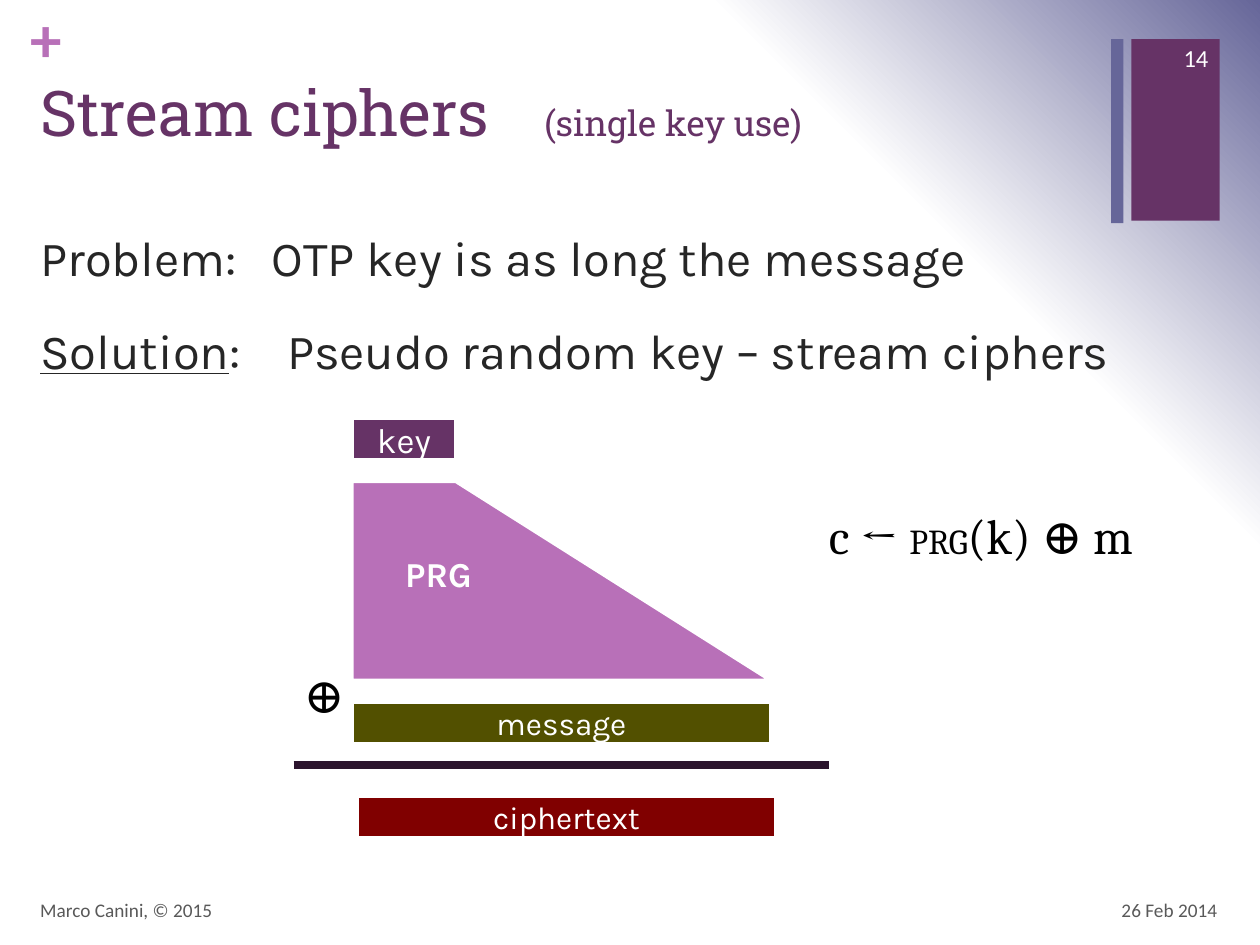
"""Build the stream ciphers slide."""
import dataclasses
import typing

import lxml.etree
import pptx
import pptx.dml.color
import pptx.enum.shapes
import pptx.enum.text
import pptx.oxml
import pptx.oxml.ns
import pptx.util

Cm = pptx.util.Cm
Pt = pptx.util.Pt
qn = pptx.oxml.ns.qn
ALIGN = pptx.enum.text.PP_ALIGN
ANCHOR = pptx.enum.text.MSO_ANCHOR
FIT = pptx.enum.text.MSO_AUTO_SIZE

HUES = {
    "plum": "663366", "slate": "666699", "orchid": "B870B8",
    "olive": "525000", "maroon": "800000", "night": "2B142D",
    "white": "FFFFFF", "black": "000000", "ink": "262626", "grey": "595959",
}
LEFT, WIDE, HIGH = 7.09, 8.46, 0.84


@dataclasses.dataclass
class Area:
    left: float
    top: float
    width: float
    height: float

    def cm(self) -> list:
        return [Cm(v) for v in dataclasses.astuple(self)]


@dataclasses.dataclass
class Style:
    face: str
    size: float
    hue: str
    bold: bool = False
    align: ALIGN = ALIGN.LEFT


@dataclasses.dataclass
class Block:
    area: Area
    fill: str
    text: str = ""
    size: float = 18


@dataclasses.dataclass
class Label:
    area: Area
    runs: list
    style: Style
    wrap: bool = False
    anchor: ANCHOR = ANCHOR.TOP
    inset: typing.Optional[float] = None


def color(hue: str) -> pptx.dml.color.RGBColor:
    return pptx.dml.color.RGBColor.from_string(HUES[hue])


def write(para, runs: list, style: Style) -> None:
    font = para.font
    font.name, font.bold = style.face, style.bold
    font.color.rgb = color(style.hue)
    para.alignment = style.align
    sizes = {size for _, size in runs}
    if len(sizes) == 1:
        font.size = Pt(runs[0][1] or style.size)
    for text, size in runs:
        run = para.add_run()
        run.text = text
        if len(sizes) > 1:
            run.font.size = Pt(size or style.size)


def paint(shape, fill: str, edge: bool) -> None:
    shape.shadow.inherit = False
    shape.fill.solid()
    shape.fill.fore_color.rgb = color(fill)
    if edge:
        shape.line.color.rgb = color("white")
        shape.line.width = Pt(2.25)
    else:
        shape.line.fill.background()


def draw_block(slide, block: Block) -> None:
    kind = pptx.enum.shapes.MSO_SHAPE.RECTANGLE
    shape = slide.shapes.add_shape(kind, *block.area.cm())
    paint(shape, block.fill, bool(block.text))
    if block.text:
        frame = shape.text_frame
        frame.vertical_anchor = ANCHOR.MIDDLE
        style = Style("Karla", block.size, "white", align=ALIGN.CENTER)
        write(frame.paragraphs[0], [(block.text, None)], style)


def draw_label(slide, label: Label) -> None:
    frame = slide.shapes.add_textbox(*label.area.cm()).text_frame
    frame.word_wrap = label.wrap
    frame.vertical_anchor = label.anchor
    if label.inset is not None:
        frame.margin_left = frame.margin_right = Cm(label.inset)
        frame.margin_top = frame.margin_bottom = Cm(label.inset)
    write(frame.paragraphs[0], label.runs, label.style)


def draw_prg(slide) -> None:
    top, base = Cm(9.7), Cm(13.72)
    form = slide.shapes.build_freeform(Cm(LEFT), top)
    form.add_line_segments([
        (Cm(LEFT), base), (Cm(LEFT + WIDE), base), (Cm(9.19), top)])
    paint(form.convert_to_shape(), "orchid", True)


def draw_rule(slide) -> None:
    kind = pptx.enum.shapes.MSO_CONNECTOR.STRAIGHT
    line = slide.shapes.add_connector(
        kind, Cm(5.92), Cm(15.42), Cm(16.71), Cm(15.42))
    line.line.color.rgb = color("night")
    line.line.width = Pt(4.5)
    lxml.etree.SubElement(line.element.spPr, qn("a:effectLst"))


def shade(slide) -> None:
    slide.background.fill.gradient()
    old = slide.element.find(".//" + qn("a:gradFill"))
    stops = "".join(
        f'<a:gs pos="{pos}000"><a:srgbClr val="{HUES[hue]}"/></a:gs>'
        for pos, hue in [(0, "white"), (75, "white"), (100, "slate")])
    new = pptx.oxml.parse_xml(
        f'<a:gradFill {pptx.oxml.ns.nsdecls("a")} rotWithShape="1">'
        f'<a:gsLst>{stops}</a:gsLst><a:path path="circle">'
        '<a:fillToRect t="100000" r="100000"/></a:path></a:gradFill>')
    old.getparent().replace(old, new)


def place(holder, area: Area):
    holder.left, holder.top, holder.width, holder.height = area.cm()
    frame = holder.text_frame
    frame.word_wrap = True
    frame.auto_size = FIT.NONE
    frame.vertical_anchor = ANCHOR.TOP
    return frame


def fill_text(slide) -> None:
    title = place(slide.shapes.title, Area(0.56, 1.35, 21.82, 3.1))
    write(title.paragraphs[0],
          [("Stream ciphers\t", 36), ("(single key use)", 20)],
          Style("Roboto Slab", 36, "plum"))
    body = place(slide.placeholders[1], Area(0.56, 4.45, 24.23, 13.39))
    lines = [["Problem:   OTP key is as long the message"],
             ["Solution", ":    Pseudo random key – stream ciphers"]]
    for i, parts in enumerate(lines):
        para = body.add_paragraph() if i else body.paragraphs[0]
        para.space_before = Pt(20)
        write(para, [(part, None) for part in parts],
              Style("Karla", 28, "ink"))
        props = para._p.get_or_add_pPr()
        props.set("marL", "0")
        props.set("indent", "0")
        mark = lxml.etree.Element(qn("a:buNone"))
        props.find(qn("a:defRPr")).addprevious(mark)
    body.paragraphs[1].runs[0].font.underline = True


BLOCKS = [
    Block(Area(22.81, 0.79, 1.78, 3.66), "plum"),
    Block(Area(22.4, 0.79, 0.25, 3.71), "slate"),
    Block(Area(LEFT, 8.43, 2.11, HIGH), "plum", "key", 20),
    Block(Area(LEFT, 14.15, WIDE, HIGH), "olive", "message"),
    Block(Area(7.19, 16.05, WIDE, HIGH), "maroon", "ciphertext"),
]
MATH = Style("Cambria", 28, "black")
LABELS = [
    Label(Area(0.61, 0, 0.74, 1.55), [("+", None)],
          Style("Calibri", 36, "orchid", True), True, inset=0),
    Label(Area(18.87, 17.83, 5.92, 1.02), [("26 Feb 2014", None)],
          Style("Calibri", 11, "grey", align=ALIGN.RIGHT), True,
          ANCHOR.MIDDLE),
    Label(Area(0.56, 17.83, 17.02, 1.02), [("Marco Canini, © 2015", None)],
          Style("Calibri", 11, "grey"), True, ANCHOR.MIDDLE),
    Label(Area(23.06, 0.66, 1.55, 1.02), [("14", None)],
          Style("Calibri", 14, "white", align=ALIGN.RIGHT), True,
          ANCHOR.MIDDLE),
    Label(Area(7.92, 11.02, 2.03, 1.12), [("PRG", None)],
          Style("Karla", 20, "white", True)),
    Label(Area(5.87, 13.28, 1.3, 1.45), [("⊕", None)],
          dataclasses.replace(MATH, align=ALIGN.CENTER)),
    Label(Area(16.46, 10.06, 7.04, 1.45),
          [("c ← ", 28), ("PRG", 20), ("(k) ⊕ m", 28)], MATH),
]


def main() -> None:
    deck = pptx.Presentation()
    deck.slide_width, deck.slide_height = Cm(25.4), Cm(19.05)
    slide = deck.slides.add_slide(deck.slide_layouts[1])
    shade(slide)
    fill_text(slide)
    for block in BLOCKS:
        draw_block(slide, block)
    draw_prg(slide)
    draw_rule(slide)
    for label in LABELS:
        draw_label(slide, label)
    deck.save("out.pptx")


if __name__ == "__main__":
    main()
